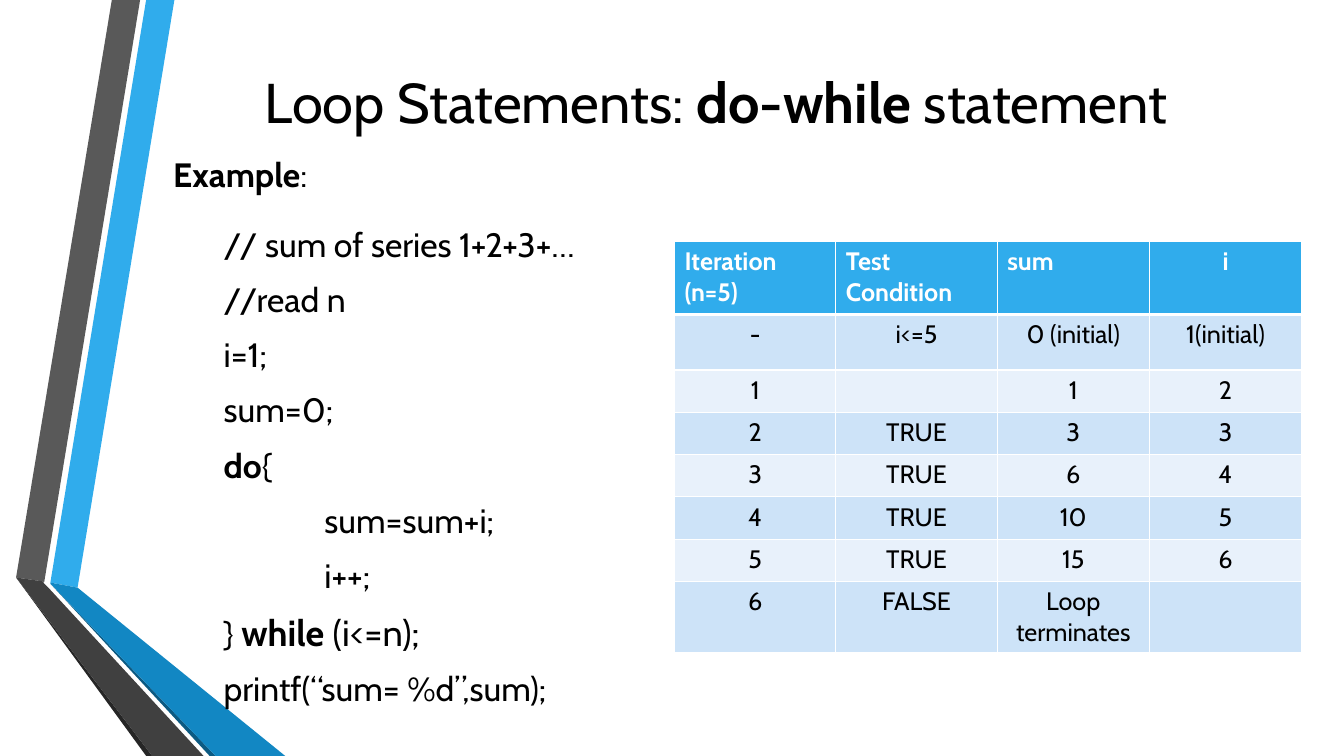
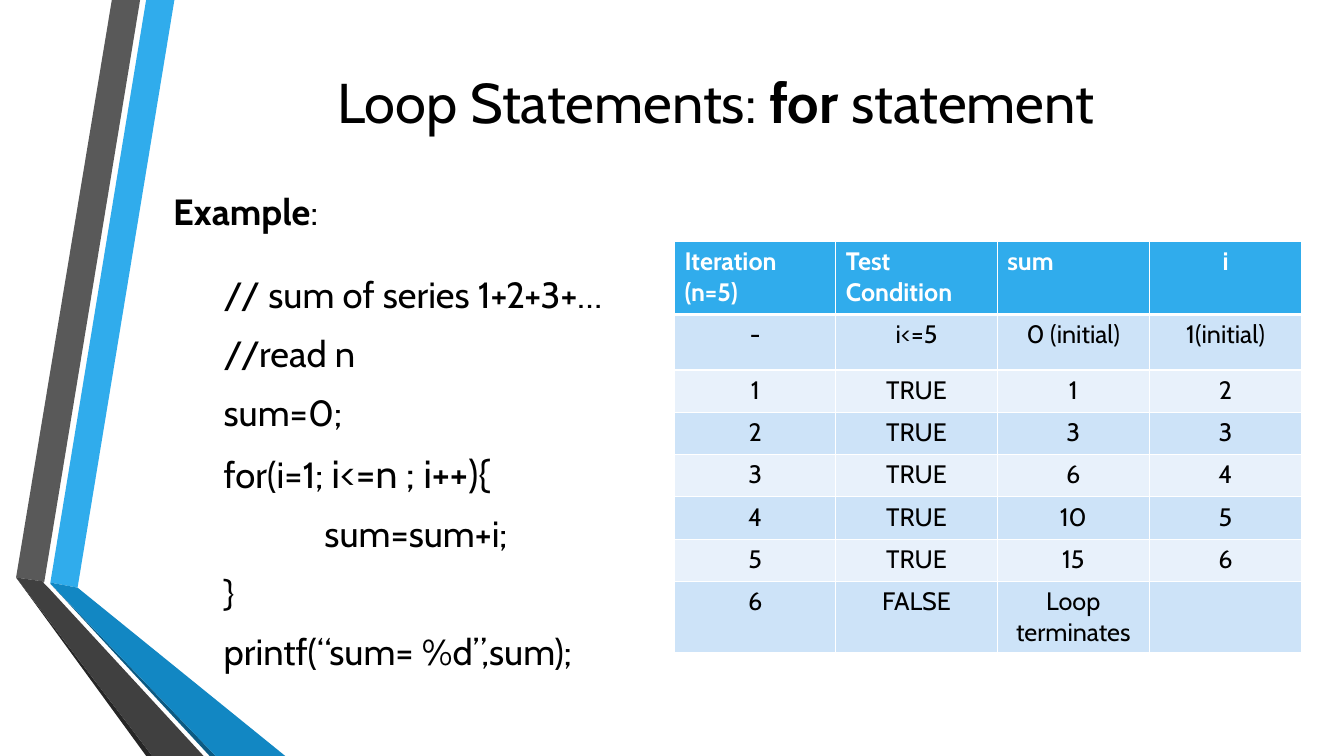
from lxml import etree
from pptx import Presentation
from pptx.dml.color import RGBColor
from pptx.enum.text import MSO_ANCHOR, PP_ALIGN
from pptx.oxml.ns import qn
from pptx.util import Inches, Pt

FONT = "Cabin"
BLACK = RGBColor(0x00, 0x00, 0x00)
WHITE = RGBColor(0xFF, 0xFF, 0xFF)
SKY = RGBColor(0x30, 0xAC, 0xEC)
BLUE = RGBColor(0x12, 0x87, 0xC3)
NAVY = RGBColor(0x0C, 0x5A, 0x82)
GREY = RGBColor(0x59, 0x59, 0x59)
DARK_GREY = RGBColor(0x40, 0x40, 0x40)
CHARCOAL = RGBColor(0x26, 0x26, 0x26)
ROW_TINTS = (RGBColor(0xCD, 0xE3, 0xF8), RGBColor(0xE8, 0xF1, 0xFB))

RIBBONS = [
    (SKY, [(0.5, 5.78), (0.77, 5.83), (1.73, 0), (1.45, 0)]),
    (GREY, [(1.39, 0), (1.11, 0), (0.16, 5.73), (0.44, 5.77)]),
    (CHARCOAL, [(0.16, 5.73), (1.45, 7.5), (1.51, 7.5)]),
    (NAVY, [(0.5, 5.79), (2.08, 7.5), (2.14, 7.5)]),
    (BLUE, [(0.5, 5.79), (2.14, 7.5), (2.83, 7.5), (0.77, 5.83), (0.5, 5.78)]),
    (DARK_GREY, [(2.02, 7.5), (0.48, 5.83), (0.43, 5.78), (0.44, 5.77),
                 (0.16, 5.73), (1.51, 7.5)]),
]

HEADINGS = ["Iteration (n=5)", "Test Condition", "sum", "i"]
COLUMN_WIDTHS = [1.6, 1.6, 1.51, 1.51]
ROW_HEIGHTS = [0.73, 0.55] + [0.42] * 5 + [0.71]

CODE_INDENT, LOOP_INDENT = 0.5, 1.5
EXAMPLE = (0, [("Example", True), (":", False)])
LOOP_BODY = (LOOP_INDENT, [("sum=sum+i;", False)])
COMMENT = (CODE_INDENT, [("// sum of series 1+2+3+…", False)])
READ = (CODE_INDENT, [("//read n", False)])
RESET = (CODE_INDENT, [("sum=0;", False)])
PRINT = (CODE_INDENT, [("printf(“sum= %d”,sum);", False)])

LESSONS = [
    {
        "keyword": "do-while",
        "first_test": "",
        "top": 1.48, "size": 24.1, "large": 25.9,
        "opening_spacing": 1.3, "gap": 4.5,
        "lines": [
            EXAMPLE, COMMENT, READ,
            (CODE_INDENT, [("i=1;", False)]),
            RESET,
            (CODE_INDENT, [("do", True), ("{", False)]),
            LOOP_BODY,
            (LOOP_INDENT, [("i++;", False)]),
            (CODE_INDENT, [("} ", False), ("while", True, "large"),
                           (" (i<=n);", False, "large")]),
            PRINT,
        ],
    },
    {
        "keyword": "for",
        "first_test": "TRUE",
        "top": 1.83, "size": 26, "large": 28,
        "opening_spacing": 1.5, "gap": 5,
        "lines": [
            EXAMPLE, COMMENT, READ, RESET,
            (CODE_INDENT, [("for(i=1; ", False), ("i<=n ; i++){", False, "large")]),
            LOOP_BODY,
            (CODE_INDENT, [("}", False)]),
            PRINT,
        ],
    },
]


def trace(first_test):
    sums = [1, 3, 6, 10, 15]
    tests = [first_test] + ["TRUE"] * 4
    steps = [[str(n), test, str(total), str(n + 1)]
             for n, (test, total) in enumerate(zip(tests, sums), 1)]
    return ([["-", "i<=5", "0 (initial)", "1(initial)"]] + steps
            + [["6", "FALSE", "Loop terminates", ""]])


def add_run(paragraph, text, size, bold=False, color=BLACK):
    run = paragraph.add_run()
    run.text = text
    run.font.name = FONT
    run.font.size = Pt(size)
    run.font.bold = bold
    run.font.color.rgb = color


def add_ribbons(slide, layout):
    for order, (color, corners) in enumerate(RIBBONS):
        points = [(Inches(x), Inches(y)) for x, y in corners]
        builder = slide.shapes.build_freeform(*points[0])
        builder.add_line_segments(points[1:], close=True)
        ribbon = builder.convert_to_shape()
        ribbon.shadow.inherit = False
        ribbon.fill.solid()
        ribbon.fill.fore_color.rgb = color
        ribbon.line.fill.background()
        ribbon.element.nvSpPr.cNvPr.set("id", str(100 + order))
        layout.shapes.element.insert(2 + order, ribbon.element)


def add_title(slide, keyword):
    title = slide.shapes.title
    title.left, title.top = Inches(1.62), Inches(0.36)
    title.width, title.height = Inches(10.96), Inches(1.28)
    title.text_frame.vertical_anchor = MSO_ANCHOR.MIDDLE
    heading = title.text_frame.paragraphs[0]
    heading.alignment = PP_ALIGN.CENTER
    for text, bold in [("Loop Statements: ", False), (keyword, True), (" statement", False)]:
        add_run(heading, text, 40, bold)


def add_code(slide, lesson):
    top = lesson["top"]
    code = slide.shapes.add_textbox(Inches(1.62), Inches(top), Inches(5.07), Inches(7.29 - top))
    frame = code.text_frame
    frame.word_wrap = True
    for number, (indent, parts) in enumerate(lesson["lines"]):
        line = frame.add_paragraph() if number else frame.paragraphs[0]
        line.space_before = Pt((0, 6)[number] if number < 2 else lesson["gap"])
        line.space_after = Pt(6)
        line.line_spacing = lesson["opening_spacing"] if number == 1 else 1.0
        properties = line._p.get_or_add_pPr()
        properties.set("marL", str(Inches(indent)))
        properties.set("indent", "0")
        for text, bold, *scale in parts:
            add_run(line, text, lesson[scale[0] if scale else "size"], bold)


def set_borders(cell, bottom):
    properties = cell._tc.get_or_add_tcPr()
    for order, (side, width) in enumerate([("L", 1), ("R", 1), ("T", 1), ("B", bottom)]):
        border = etree.Element(qn("a:ln" + side), w=str(Pt(width)))
        fill = etree.SubElement(border, qn("a:solidFill"))
        etree.SubElement(fill, qn("a:srgbClr"), val=str(WHITE))
        properties.insert(order, border)


def add_trace_table(slide, first_test):
    rows = [HEADINGS] + trace(first_test)
    table = slide.shapes.add_table(
        len(rows), len(HEADINGS), Inches(6.69), Inches(2.39),
        Inches(sum(COLUMN_WIDTHS)), Inches(sum(ROW_HEIGHTS))).table
    for column, width in zip(table.columns, COLUMN_WIDTHS):
        column.width = Inches(width)
    for r, (values, height) in enumerate(zip(rows, ROW_HEIGHTS)):
        table.rows[r].height = Inches(height)
        is_heading = r == 0
        for c, value in enumerate(values):
            cell = table.cell(r, c)
            cell.fill.solid()
            cell.fill.fore_color.rgb = SKY if is_heading else ROW_TINTS[(r - 1) % 2]
            set_borders(cell, 3 if is_heading else 1)
            entry = cell.text_frame.paragraphs[0]
            left_aligned = is_heading and value != "i"
            entry.alignment = PP_ALIGN.LEFT if left_aligned else PP_ALIGN.CENTER
            if value:
                add_run(entry, value, 18, is_heading, WHITE if is_heading else BLACK)


def main():
    deck = Presentation()
    deck.slide_width, deck.slide_height = Inches(13.33), Inches(7.5)
    layout = deck.slide_layouts[5]
    for number, lesson in enumerate(LESSONS):
        slide = deck.slides.add_slide(layout)
        if number == 0:
            add_ribbons(slide, layout)
        add_title(slide, lesson["keyword"])
        add_code(slide, lesson)
        add_trace_table(slide, lesson["first_test"])
    deck.save("out.pptx")


if __name__ == "__main__":
    main()
